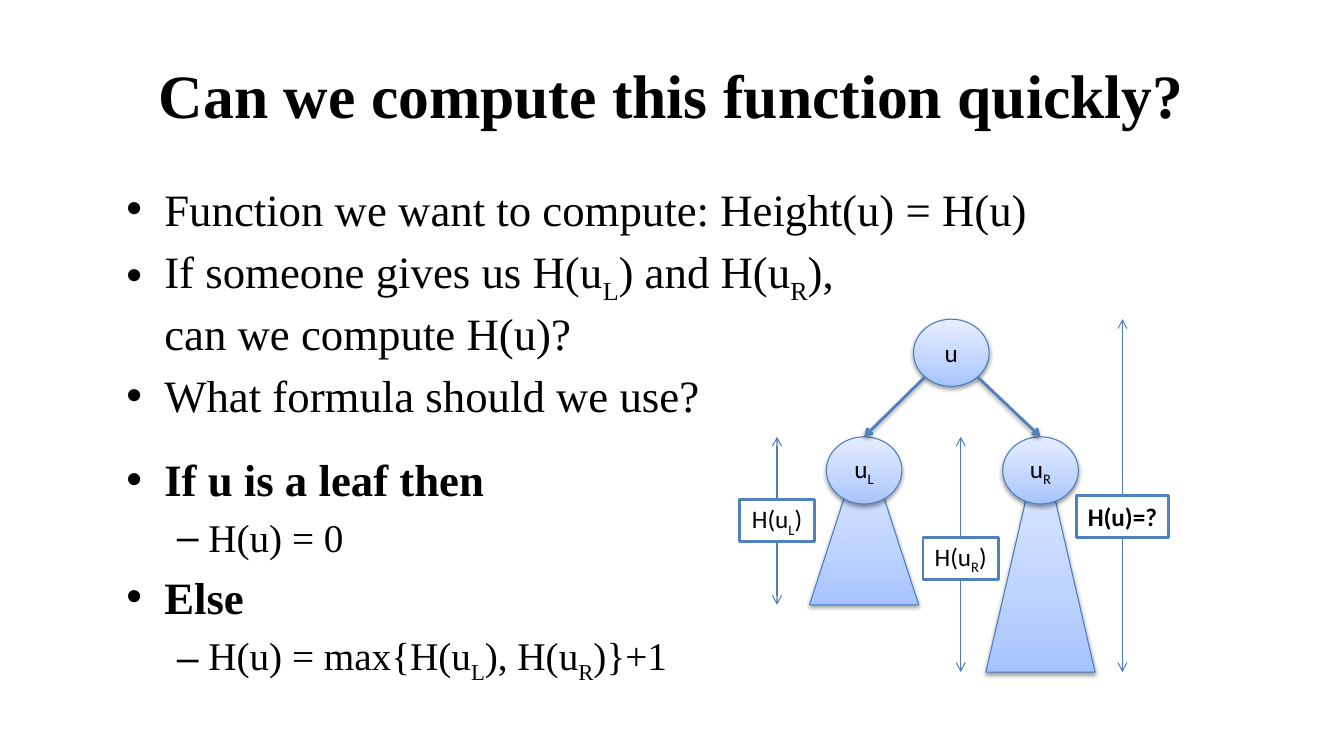
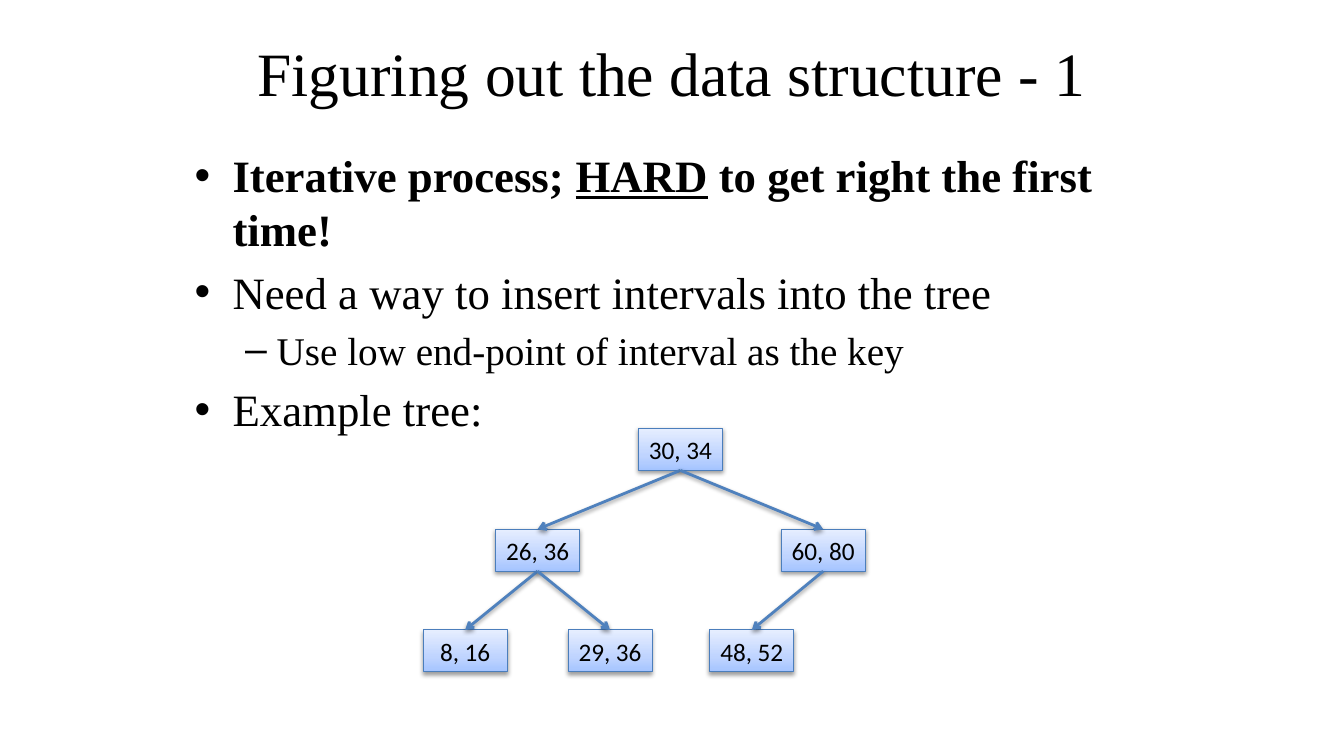
from copy import deepcopy

from lxml import etree
from pptx import Presentation
from pptx.dml.color import RGBColor
from pptx.enum.shapes import MSO_CONNECTOR, MSO_SHAPE
from pptx.enum.text import MSO_ANCHOR, PP_ALIGN
from pptx.oxml.ns import qn
from pptx.util import Emu, Pt

STRAIGHT = MSO_CONNECTOR.STRAIGHT
ELLIPSE = MSO_SHAPE.OVAL
RECTANGLE = MSO_SHAPE.RECTANGLE
TRIANGLE = MSO_SHAPE.ISOSCELES_TRIANGLE
CENTER = PP_ALIGN.CENTER
LEFT = PP_ALIGN.LEFT
MIDDLE = MSO_ANCHOR.MIDDLE
TOP = MSO_ANCHOR.TOP

BLACK = RGBColor(0x00, 0x00, 0x00)
WHITE = RGBColor(0xFF, 0xFF, 0xFF)
OUTLINE = RGBColor(0x4B, 0x7E, 0xBC)
ACCENT = RGBColor(0x4F, 0x81, 0xBD)
GRADIENT = (
    (0, RGBColor(0xA4, 0xC4, 0xFF)),
    (0.35, RGBColor(0xBF, 0xD4, 0xFF)),
    (1, RGBColor(0xE6, 0xEE, 0xFF)),
)

SERIF = "Times New Roman"
SANS = "Calibri"
THIN, THICK = 0.75, 2
# Per outline level: text size, left margin, hanging indent, bullet
LEVELS = ((32, 36, 36, "•"), (28, 78, 30, "–"))
SITE_TOP, SITE_BOTTOM = 0, 2


def px(length):
    return Emu(length * 9525)


def add_child(parent, tag, **attributes):
    return etree.SubElement(parent, qn(tag), attributes)


def write(paragraph, text, font_name, size, bold=False):
    """Write text where _x lowers one letter and *words* are underlined."""

    def add(piece, underline, lowered=False):
        run = paragraph.add_run()
        run.text = piece
        run.font.name = font_name
        run.font.size = Pt(size)
        run.font.bold = bold
        run.font.underline = underline
        run.font.color.rgb = BLACK
        if lowered:
            run.font._element.set("baseline", "-25000")

    for line_number, line in enumerate(text.split("\n")):
        if line_number:
            paragraph.add_line_break()
        for span_number, span in enumerate(line.split("*")):
            underline = span_number % 2 == 1
            for part_number, part in enumerate(span.split("_")):
                if part_number:
                    add(part[0], underline, lowered=True)
                    part = part[1:]
                if part:
                    add(part, underline)


def cast_shadow(sp_pr):
    effects = sp_pr.find(qn("a:effectLst"))
    shadow = add_child(effects, "a:outerShdw", blurRad="40000", dist="20000",
                       dir="5400000", rotWithShape="0")
    color = add_child(shadow, "a:srgbClr", val=str(BLACK))
    add_child(color, "a:alpha", val="38000")


class Deck:
    def __init__(self):
        self.presentation = Presentation()
        self.presentation.slide_width = px(1280)
        self.presentation.slide_height = px(720)
        self.slide = None

    def new_slide(self):
        layout = self.presentation.slide_layouts[6]
        self.slide = self.presentation.slides.add_slide(layout)

    def text_frame(self, left, top, width, height, anchor):
        box = self.slide.shapes.add_textbox(px(left), px(top), px(width), px(height))
        box.text_frame.word_wrap = True
        box.text_frame.vertical_anchor = anchor
        return box.text_frame

    def title(self, text, left, top, width, bold=False):
        heading = self.text_frame(left, top, width, 120, MIDDLE).paragraphs[0]
        heading.alignment = CENTER
        write(heading, text, SERIF, 44, bold)

    def outline(self, items, left, top, width, height):
        """Add bullets from (level, text, bold, extra points before)."""
        frame = self.text_frame(left, top, width, height, TOP)
        for number, (level, text, bold, gap) in enumerate(items):
            bullet = frame.add_paragraph() if number else frame.paragraphs[0]
            size, margin, hanging, symbol = LEVELS[level]
            bullet.level = level
            bullet.alignment = LEFT
            bullet.space_before = Pt(0.2 * size + gap)
            properties = bullet._p.get_or_add_pPr()
            properties.set("marL", str(px(margin)))
            properties.set("indent", str(px(-hanging)))
            add_child(properties, "a:buFont", typeface="Arial")
            add_child(properties, "a:buChar", char=symbol)
            write(bullet, text, SERIF, size, bold)

    def shape(self, kind, left, top, width, height, text="", bold=False):
        shape = self.slide.shapes.add_shape(kind, px(left), px(top), px(width), px(height))
        shape.shadow.inherit = False
        if text:
            frame = shape.text_frame
            frame.word_wrap = False
            frame.vertical_anchor = MIDDLE
            frame.paragraphs[0].alignment = CENTER
            write(frame.paragraphs[0], text, SANS, 18, bold)
        return shape

    def node(self, kind, left, top, width, height, text=""):
        """Add a shaded part of a tree."""
        node = self.shape(kind, left, top, width, height, text)
        node.line.color.rgb = OUTLINE
        node.line.width = Pt(THIN)
        node.fill.gradient()
        node.fill.gradient_angle = 90
        sp_pr = node._element.spPr
        stops = sp_pr.find(qn("a:gradFill")).find(qn("a:gsLst"))
        stops.append(deepcopy(stops[0]))
        for stop, (position, color) in zip(node.fill.gradient_stops, GRADIENT):
            stop.position = position
            stop.color.rgb = color
        cast_shadow(sp_pr)
        return node

    def arrow(self, start, end, color, weight, both_ends=False):
        arrow = self.slide.shapes.add_connector(
            STRAIGHT, *(px(value) for value in (*start, *end)))
        arrow.line.color.rgb = color
        arrow.line.width = Pt(weight)
        sp_pr = arrow._element.spPr
        line = sp_pr.find(qn("a:ln"))
        if both_ends:
            add_child(line, "a:headEnd", type="arrow")
        add_child(line, "a:tailEnd", type="arrow")
        add_child(sp_pr, "a:effectLst")
        return arrow

    def edge(self, parent, child, start=None):
        """Link parent to child, from the parent's bottom unless start is given."""
        edge = self.arrow(start or (0, 0), (0, 0), ACCENT, THICK)
        if start is None:
            edge.begin_connect(parent, SITE_BOTTOM)
        edge.end_connect(child, SITE_TOP)
        cast_shadow(edge._element.spPr)

    def measure(self, x, top, bottom, text, label_top, label_width=72, bold=False):
        """Add a height arrow with its label centred on it."""
        self.arrow((x, top), (x, bottom), OUTLINE, THIN, both_ends=True)
        label = self.shape(RECTANGLE, x - label_width // 2, label_top,
                           label_width, 40, text, bold)
        label.fill.solid()
        label.fill.fore_color.rgb = WHITE
        label.line.color.rgb = ACCENT
        label.line.width = Pt(THICK)


def height_slide(deck):
    deck.new_slide()
    deck.outline((
        (0, "Function we want to compute: Height(u) = H(u)", False, 0),
        (0, "If someone gives us H(u_L) and H(u_R),\ncan we compute H(u)?", False, 0),
        (0, "What formula should we use?", False, 0),
        (0, "If u is a leaf then", True, 15),
        (1, "H(u) = 0", False, 0),
        (0, "Else", True, 0),
        (1, "H(u) = max{H(u_L), H(u_R)}+1", False, 0),
    ), 111, 168, 1036, 520)
    deck.title("Can we compute this function quickly?", 64, 29, 1152, bold=True)

    root_x, root_top, child_top = 906, 304, 416
    width, height = 72, 64
    root = deck.node(ELLIPSE, root_x - width // 2, root_top, width, height, "u")
    for x, subtree_height, text, side in ((823, 160, "u_L", -1), (991, 224, "u_R", 1)):
        deck.node(TRIANGLE, x - 52, child_top, 104, subtree_height)
        child = deck.node(ELLIPSE, x - width // 2, child_top, width, height, text)
        deck.edge(root, child, start=(root_x + side * 25, root_top + 55))

    deck.measure(740, child_top, 576, "H(u_L)", 476)
    deck.measure(915, child_top, 640, "H(u_R)", 512)
    deck.measure(1069, root_top, 640, "H(u)=?", 472, label_width=88, bold=True)


def structure_slide(deck):
    deck.new_slide()
    deck.title("Figuring out the data structure - 1", 184, 8, 912)
    deck.outline((
        (0, "Iterative process; *HARD* to get right the first time!", True, 0),
        (0, "Need a way to insert intervals into the tree", False, 0),
        (1, "Use low end-point of interval as the key", False, 0),
        (0, "Example tree:", False, 0),
    ), 176, 136, 936, 568)

    # Interval, its parent, left edge and depth in the tree
    intervals = (
        ("30, 34", None, 608, 0),
        ("26, 36", "30, 34", 472, 1),
        ("60, 80", "30, 34", 744, 1),
        ("8, 16", "26, 36", 403, 2),
        ("29, 36", "26, 36", 541, 2),
        ("48, 52", "60, 80", 676, 2),
    )
    nodes = {}
    for interval, parent, left, depth in intervals:
        nodes[interval] = deck.node(RECTANGLE, left, 408 + 96 * depth, 80, 40, interval)
        if parent:
            deck.edge(nodes[parent], nodes[interval])


def main():
    deck = Deck()
    height_slide(deck)
    structure_slide(deck)
    deck.presentation.save("out.pptx")


if __name__ == "__main__":
    main()
